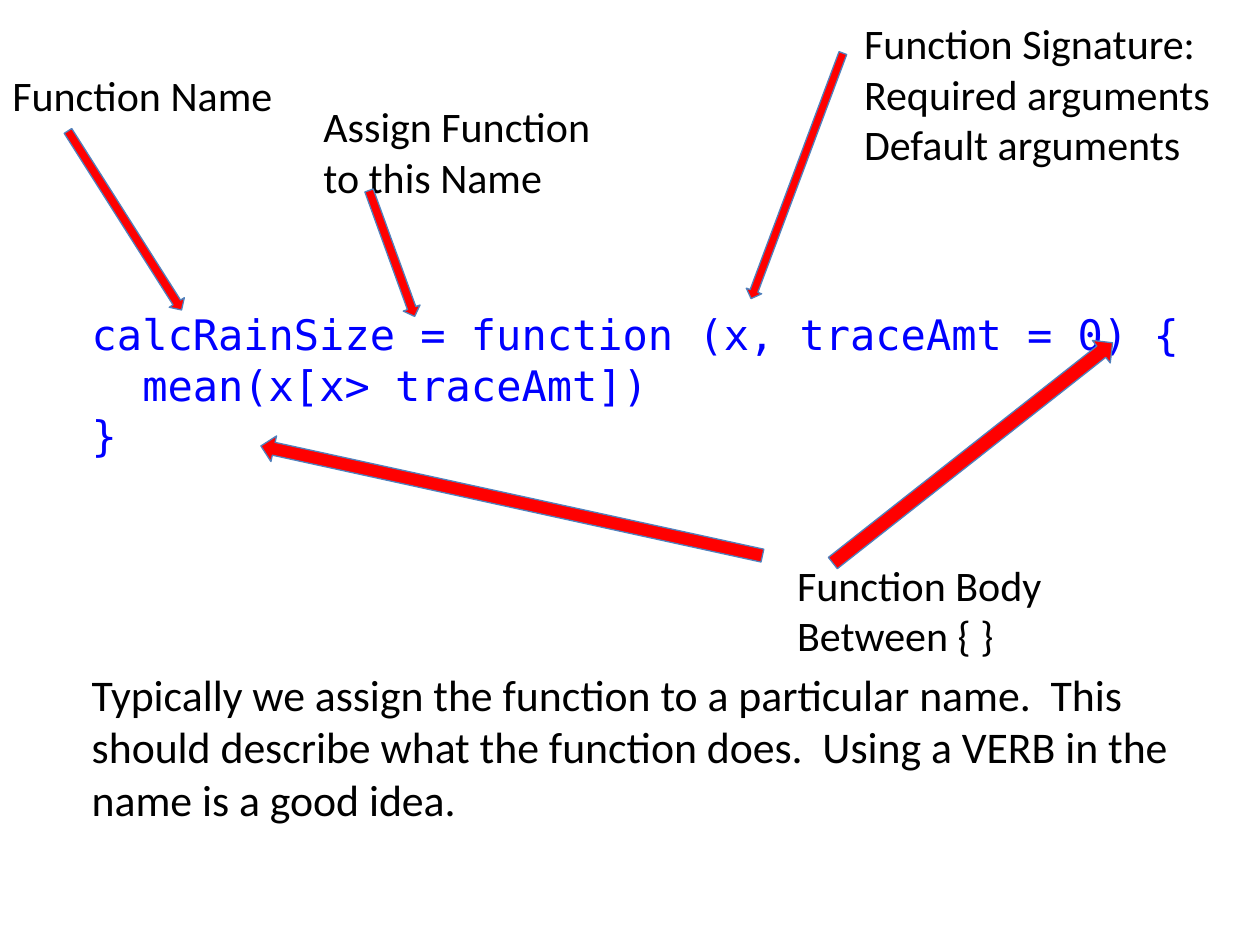
import math

from pptx import Presentation
from pptx import util as u
from pptx.dml.color import RGBColor
from pptx.enum import shapes, text

BLACK = RGBColor(0x00, 0x00, 0x00)
CODE_BLUE = RGBColor(0x00, 0x00, 0xFF)
ARROW_RED = RGBColor(0xFF, 0x00, 0x00)
ARROW_EDGE = RGBColor(0x4F, 0x81, 0xBD)


def write(paragraph, words, *, font="Calibri", size=24, color=BLACK,
          spacing=None, indent=0):
    """Put formatted text in a paragraph; indent is in centimetres."""
    run = paragraph.add_run()
    run.text = words
    run.font.name = font
    run.font.size = u.Pt(size)
    run.font.color.rgb = color
    paragraph.alignment = text.PP_ALIGN.LEFT
    if spacing:
        paragraph.line_spacing = u.Pt(spacing)
    if indent:
        paragraph._p.get_or_add_pPr().set("marL", str(u.Cm(indent)))


class Diagram:
    """Holds the style and the current slide."""

    label_inset = (0.25, 0.13)
    body_inset = (0.1, 0.1)
    code_style = dict(font="DejaVu Sans Mono", color=CODE_BLUE, spacing=29)

    def __init__(self, slide):
        self.slide = slide

    def frame(self, left, top, width, height, inset):
        box = self.slide.shapes.add_textbox(
            u.Cm(left), u.Cm(top), u.Cm(width), u.Cm(height))
        frame = box.text_frame
        frame.word_wrap = True
        frame.vertical_anchor = text.MSO_ANCHOR.TOP
        frame.margin_left = frame.margin_right = u.Cm(inset[0])
        frame.margin_top = frame.margin_bottom = u.Cm(inset[1])
        return frame

    def lines(self, frame, entries, **style):
        """Write one paragraph for each (words, indent) entry."""
        for i, (words, indent) in enumerate(entries):
            paragraph = frame.add_paragraph() if i else frame.paragraphs[0]
            write(paragraph, words, indent=indent, **style)

    def label(self, left, top, width, height, *rows):
        frame = self.frame(left, top, width, height, self.label_inset)
        self.lines(frame, [(row, 0) for row in rows])

    def code(self, left, top, width, height, entries):
        frame = self.frame(left, top, width, height, self.body_inset)
        self.lines(frame, entries, **self.code_style)

    def body(self, left, top, width, height, words):
        frame = self.frame(left, top, width, height, self.body_inset)
        self.lines(frame, [(words, 0)], size=25)

    def arrow(self, tail, tip, thickness):
        """Block arrow turned so that it runs from tail to tip."""
        dx, dy = tip[0] - tail[0], tip[1] - tail[1]
        length = math.hypot(dx, dy)
        left = (tail[0] + tip[0] - length) / 2
        top = (tail[1] + tip[1] - thickness) / 2
        arrow = self.slide.shapes.add_shape(
            shapes.MSO_SHAPE.RIGHT_ARROW,
            u.Cm(left), u.Cm(top), u.Cm(length), u.Cm(thickness))
        arrow.rotation = math.degrees(math.atan2(dy, dx)) % 360
        arrow.shadow.inherit = False
        arrow.fill.solid()
        arrow.fill.fore_color.rgb = ARROW_RED
        arrow.line.color.rgb = ARROW_EDGE
        arrow.line.width = u.Pt(0.75)


def main():
    deck = Presentation()
    deck.slide_width, deck.slide_height = u.Cm(25.4), u.Cm(19.05)
    diagram = Diagram(deck.slides.add_slide(deck.slide_layouts[6]))

    # Function definition and explanation share one column
    column_left, column_width = 1.75, 22.4
    diagram.code(column_left, 6.11, column_width, 3.3, [
        ("calcRainSize = function (x, traceAmt = 0) {", 0),
        ("mean(x[x> traceAmt])", 1.02),
        ("}", 0),
    ])
    diagram.body(
        column_left, 13.36, column_width, 3.5,
        "Typically we assign the function to a particular name.  This should "
        "describe what the function does.  Using a VERB in the name is a "
        "good idea.")

    # Labels for the parts of the definition
    diagram.label(0, 1.27, 5.84, 1.27, "Function Name")
    diagram.label(6.27, 1.9, 5.97, 2.31, "Assign Function", "to this Name")
    diagram.label(17.17, 0.23, 8.05, 3.33, "Function Signature:",
                  "Required arguments", "Default arguments")
    diagram.label(15.82, 11.15, 5.54, 2.31, "Function Body", "Between { }")

    # Arrows from each label to its part
    for tail, tip, thickness in [
        ((7.44, 3.84), (8.36, 6.38), 0.36),     # assignment
        ((16.99, 1.07), (15.14, 6.02), 0.33),   # signature
        ((16.79, 11.35), (22.43, 6.91), 0.58),  # opening brace
        ((1.37, 2.64), (3.66, 6.25), 0.36),     # name
        ((15.37, 11.2), (5.26, 8.99), 0.53),    # closing brace
    ]:
        diagram.arrow(tail, tip, thickness)

    deck.save("out.pptx")


if __name__ == "__main__":
    main()
